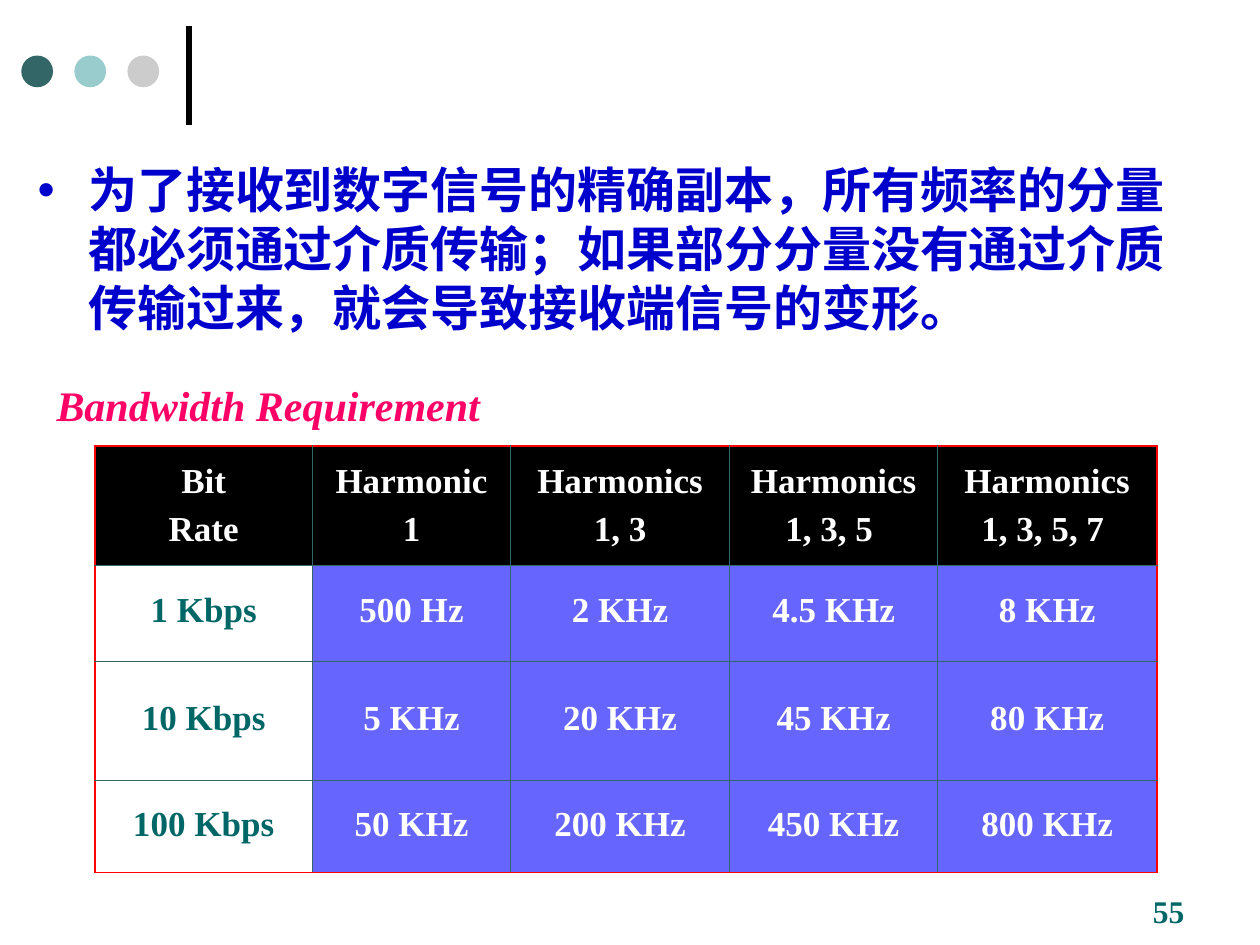
from lxml.etree import SubElement
from pptx import Presentation
from pptx.dml.color import RGBColor
from pptx.enum.shapes import MSO_CONNECTOR, MSO_SHAPE
from pptx.enum.text import MSO_ANCHOR, PP_ALIGN
from pptx.oxml.ns import qn
from pptx.util import Cm, Pt

COLORS = {
    "black": "000000", "white": "FFFFFF", "dark teal": "336666",
    "light teal": "99CCCC", "gray": "CCCCCC", "teal": "006666",
    "pink": "FF0066", "red": "FF0000", "violet": "6666FF", "blue": "0000CC",
}
LATIN_FONT = "Times New Roman"
CHINESE_FONT = "Noto Sans CJK SC"


def color(name):
    return RGBColor.from_string(COLORS[name])


def write_text(frame, text, size, color_name, font_name=LATIN_FONT, italic=False,
               align=PP_ALIGN.LEFT, spacing=None, gap=0, bullet=None, indent=0):
    for index, line in enumerate(text.split("\n")):
        paragraph = frame.paragraphs[0] if index == 0 else frame.add_paragraph()
        paragraph.alignment = align
        if spacing:
            paragraph.line_spacing = spacing
        if index:
            paragraph.space_before = Pt(gap)
        if bullet:
            properties = paragraph._p.get_or_add_pPr()
            properties.set("marL", str(indent))
            properties.set("indent", str(-indent))
            SubElement(properties, qn("a:buFont"), typeface="Arial")
            SubElement(properties, qn("a:buChar"), char=bullet)
        run = paragraph.add_run()
        run.text = line
        run.font.name = font_name
        run.font.size = Pt(size)
        run.font.bold = True
        run.font.italic = italic
        run.font.color.rgb = color(color_name)
        SubElement(run._r.get_or_add_rPr(), qn("a:ea"), typeface=font_name)


presentation = Presentation()
presentation.slide_width = Cm(25.4)
presentation.slide_height = Cm(19.05)
slide = presentation.slides.add_slide(presentation.slide_layouts[6])

# Corner ornament: a vertical bar and three dots
bar = slide.shapes.add_connector(MSO_CONNECTOR.STRAIGHT, Cm(3.81), Cm(2.52), Cm(3.81), Cm(0.53))
bar.line.color.rgb = color("black")
bar.line.width = Pt(3)
SubElement(bar._element.spPr, qn("a:effectLst"))

for index, name in enumerate(["dark teal", "light teal", "gray"]):
    dot = slide.shapes.add_shape(MSO_SHAPE.OVAL, Cm(0.43 + 1.07 * index), Cm(1.12), Cm(0.64), Cm(0.64))
    dot.shadow.inherit = False
    dot.fill.solid()
    dot.fill.fore_color.rgb = color(name)
    dot.line.fill.background()

# Page number, table heading and main statement
statement = "为了接收到数字信号的精确副本，所有频率的分量都必须通过介质传输；如果部分分量没有通过介质传输过来，就会导致接收端信号的变形。"
text_boxes = [
    ("55", (22.99, 17.86, 3.38, 1.02), True, dict(size=18, color_name="teal")),
    ("Bandwidth Requirement", (0.89, 7.52, 9.04, 1.27), False,
     dict(size=24, color_name="pink", italic=True)),
    (statement, (0.51, 3.1, 24, 3.81), True,
     dict(size=28, color_name="blue", font_name=CHINESE_FONT, spacing=Pt(33.6),
          bullet="•", indent=Cm(1.02))),
]
for text, box, wrap, text_format in text_boxes:
    frame = slide.shapes.add_textbox(*map(Cm, box)).text_frame
    frame.word_wrap = wrap
    write_text(frame, text, **text_format)

# Bandwidth table
rows = [
    ["Bit\nRate", "Harmonic\n1", "Harmonics\n1, 3", "Harmonics\n1, 3, 5 ", "Harmonics\n1, 3, 5, 7 "],
    ["1 Kbps", "500 Hz", "2 KHz", "4.5 KHz", "8 KHz"],
    ["10 Kbps", "5 KHz", "20 KHz", "45 KHz", "80 KHz"],
    ["100 Kbps", "50 KHz", "200 KHz", "450 KHz", "800 KHz"],
]
column_widths = [4.39, 3.99, 4.42, 4.19, 4.42]
row_heights = [2.41, 1.93, 2.41, 1.85]
last_row, last_column = len(rows) - 1, len(column_widths) - 1
table = slide.shapes.add_table(
    len(rows), len(column_widths), Cm(1.91), Cm(8.99),
    Cm(sum(column_widths)), Cm(sum(row_heights))).table
table.first_row = table.horz_banding = False
for column, width in zip(table.columns, column_widths):
    column.width = Cm(width)
for row, height in zip(table.rows, row_heights):
    row.height = Cm(height)

for row_index, row in enumerate(rows):
    for column_index, text in enumerate(row):
        cell = table.cell(row_index, column_index)
        cell.vertical_anchor = MSO_ANCHOR.MIDDLE
        if row_index == 0:
            fill_name, text_color, spacing = "black", "white", None
        elif column_index == 0:
            fill_name, text_color, spacing = "white", "teal", 0.8
        else:
            fill_name, text_color, spacing = "violet", "white", 0.8
        write_text(cell.text_frame, text, size=20, color_name=text_color,
                   align=PP_ALIGN.CENTER, spacing=spacing, gap=5)

        # Red outer frame, thin teal inner lines; borders go before the fill
        outer_edges = {
            "a:lnL": column_index == 0, "a:lnR": column_index == last_column,
            "a:lnT": row_index == 0, "a:lnB": row_index == last_row,
        }
        properties = cell._tc.get_or_add_tcPr()
        for tag, is_outer in outer_edges.items():
            border = SubElement(properties, qn(tag), w=str(Pt(1.08 if is_outer else 0.45)))
            border_fill = SubElement(border, qn("a:solidFill"))
            SubElement(border_fill, qn("a:srgbClr"), val=COLORS["red" if is_outer else "dark teal"])
        cell.fill.solid()
        cell.fill.fore_color.rgb = color(fill_name)

presentation.save("out.pptx")
